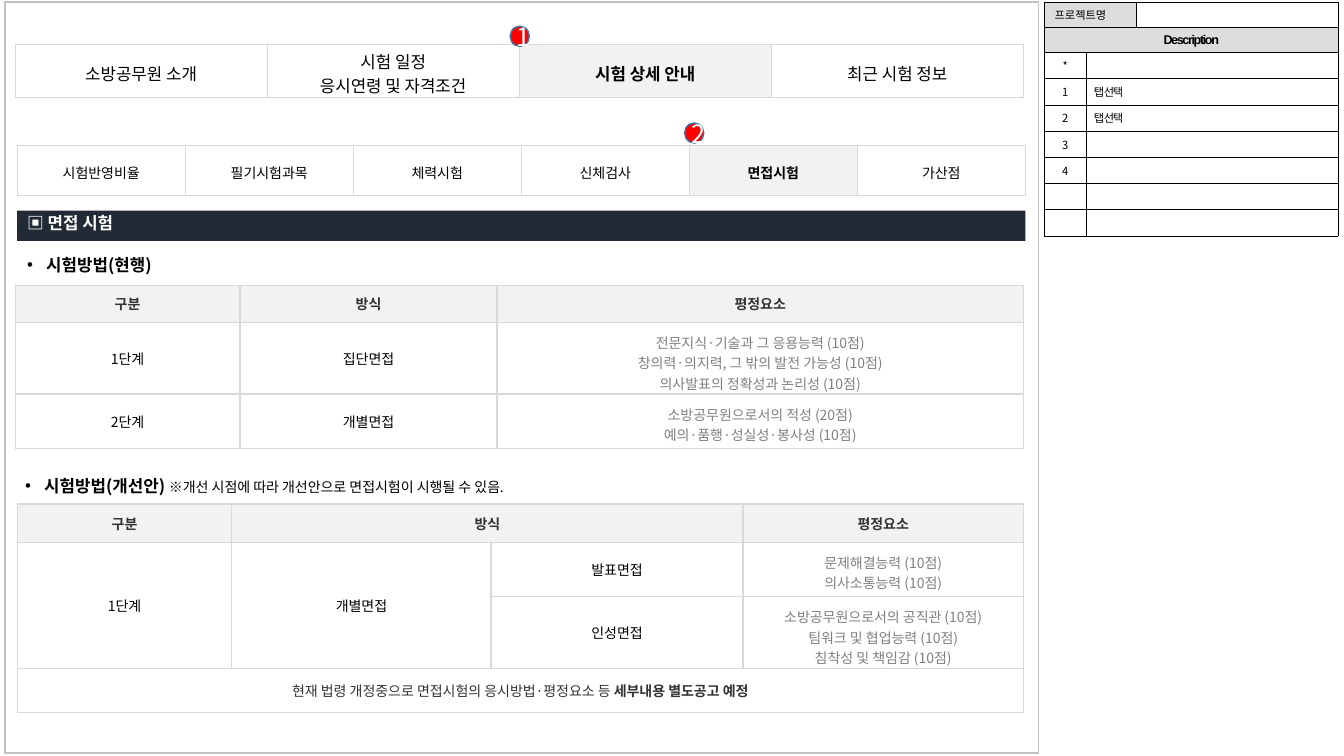
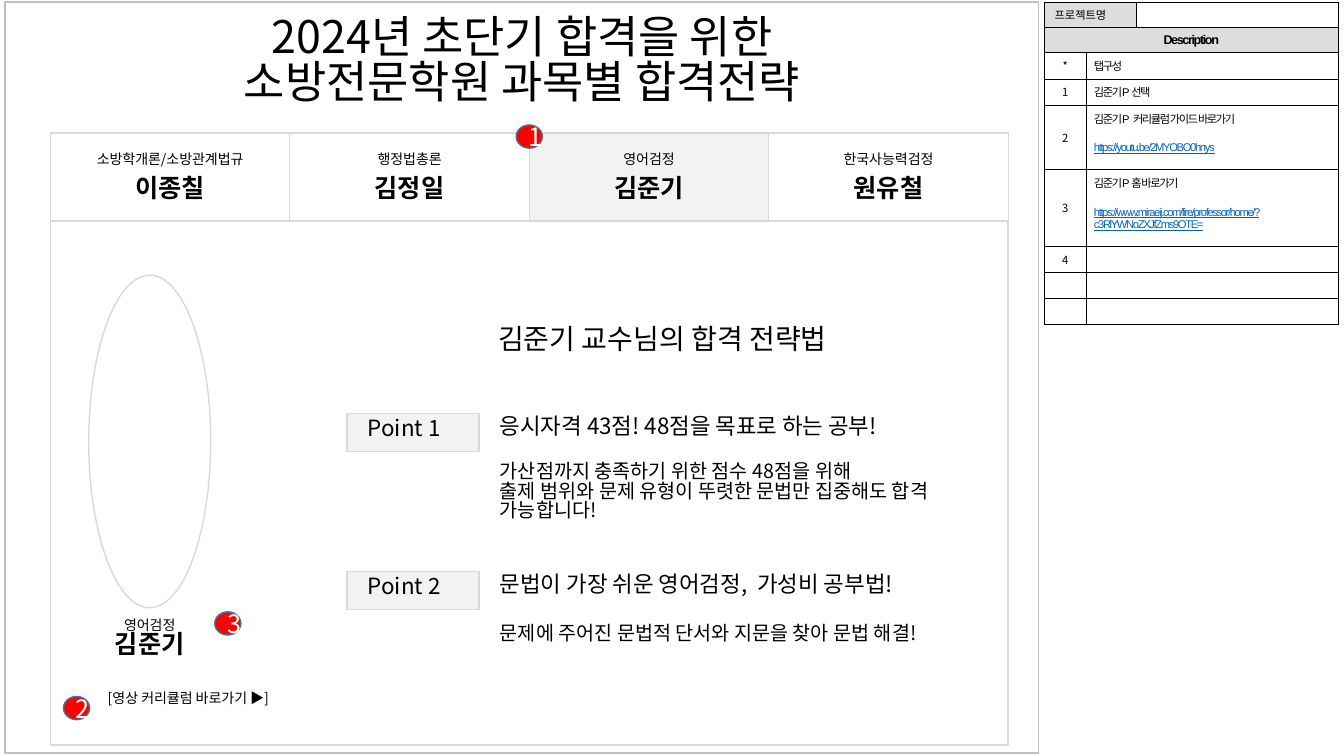
from dataclasses import dataclass, replace
from typing import Optional, Sequence

from lxml.etree import SubElement
from pptx import Presentation
from pptx.dml.color import RGBColor
from pptx.enum.shapes import MSO_SHAPE
from pptx.enum.text import MSO_ANCHOR, PP_ALIGN
from pptx.oxml.ns import qn
from pptx.util import Inches, Pt

# Shared style
BLACK = RGBColor(0x00, 0x00, 0x00)
WHITE = RGBColor(0xFF, 0xFF, 0xFF)
DARK = RGBColor(0x33, 0x33, 0x33)
GRAY = RGBColor(0x80, 0x80, 0x80)
RULE = RGBColor(0xD9, 0xD9, 0xD9)
FRAME = RGBColor(0xC0, 0xC0, 0xC0)
SHADE = RGBColor(0xF2, 0xF2, 0xF2)
SIDE_HEAD = RGBColor(0xDD, 0xDD, 0xDD)
NAVY = RGBColor(0x22, 0x2A, 0x35)
RED = RGBColor(0xFF, 0x00, 0x00)
MARK_LINE = RGBColor(0x43, 0x73, 0x9E)
LINK = RGBColor(0x05, 0x63, 0xC1)
NOTO = "Noto Sans CJK KR"
ARIAL = "Arial"
LEFT, CENTER = PP_ALIGN.LEFT, PP_ALIGN.CENTER
BOX_SPACING = 0.84


@dataclass(frozen=True)
class Run:
    text: str
    size: float = 10
    bold: bool = False
    color: RGBColor = BLACK
    font: str = NOTO
    underline: bool = False
    spacing: int = 0


@dataclass(frozen=True)
class Para:
    runs: tuple[Run, ...]
    align: PP_ALIGN = CENTER
    before: float = 0
    bullet: bool = False


@dataclass(frozen=True)
class Cell:
    paras: tuple[Para, ...] = ()
    fill: Optional[RGBColor] = None
    span: tuple[int, int] = (1, 1)
    insets: tuple[float, float, float, float] = (0.1, 0.05, 0.1, 0.05)
    anchor: MSO_ANCHOR = MSO_ANCHOR.MIDDLE


@dataclass(frozen=True)
class Note:
    mark: str = ""
    text: str = ""
    url: str = ""
    height: float = 0.26


@dataclass(frozen=True)
class Point:
    top: float
    label: str
    title: str
    body: tuple[str, ...]
    body_top: float


# Text
def line(text: str, align: PP_ALIGN = CENTER, **style) -> Para:
    return Para((Run(text, **style),), align)


def write(tf, paras: Sequence[Para], spacing: Optional[float] = None) -> None:
    for i, para in enumerate(paras):
        p = tf.paragraphs[0] if i == 0 else tf.add_paragraph()
        p.alignment = para.align
        if para.before:
            p.space_before = Pt(para.before)
        if spacing:
            p.line_spacing = spacing
        if para.bullet:
            pPr = p._p.get_or_add_pPr()
            pPr.set("marL", str(Inches(0.19)))
            pPr.set("indent", str(-Inches(0.19)))
            SubElement(pPr, qn("a:buFont")).set("typeface", ARIAL)
            SubElement(pPr, qn("a:buChar")).set("char", "•")
        for run in para.runs:
            r = p.add_run()
            r.text = run.text
            r.font.size = Pt(run.size)
            r.font.bold = run.bold
            r.font.underline = run.underline
            r.font.color.rgb = run.color
            r.font.name = run.font
            rPr = r._r.get_or_add_rPr()
            SubElement(rPr, qn("a:ea")).set("typeface", NOTO)
            if run.spacing:
                rPr.set("spc", str(run.spacing))


def add_text(s, x: float, y: float, w: float, h: float, *paras: Para) -> None:
    tf = s.shapes.add_textbox(Inches(x), Inches(y), Inches(w), Inches(h)).text_frame
    tf.word_wrap = True
    write(tf, paras, BOX_SPACING)


# Shapes
def add_box(s, x: float, y: float, w: float, h: float, kind=MSO_SHAPE.RECTANGLE,
            fill: Optional[RGBColor] = None, border: Optional[RGBColor] = RULE):
    sp = s.shapes.add_shape(kind, Inches(x), Inches(y), Inches(w), Inches(h))
    sp.shadow.inherit = False
    if fill is None:
        sp.fill.background()
    else:
        sp.fill.solid()
        sp.fill.fore_color.rgb = fill
    if border is None:
        sp.line.fill.background()
    else:
        sp.line.color.rgb = border
        sp.line.width = Pt(1)
    return sp


def add_marker(s, number: str, x: float, y: float, w: float, h: float) -> None:
    sp = add_box(s, x, y, w, h, MSO_SHAPE.OVAL, RED, MARK_LINE)
    write(sp.text_frame, [line(number, size=18, color=WHITE)])


# Tables
def add_borders(tcPr, color: RGBColor, width: float) -> None:
    for edge in ("a:lnL", "a:lnR", "a:lnT", "a:lnB"):
        ln = SubElement(tcPr, qn(edge))
        ln.set("w", str(Pt(width)))
        fill = SubElement(ln, qn("a:solidFill"))
        SubElement(fill, qn("a:srgbClr")).set("val", str(color))


def add_grid(s, x: float, y: float, widths: Sequence[float], heights: Sequence[float],
             rows: Sequence[Sequence[Optional[Cell]]],
             border: RGBColor = RULE, weight: float = 1) -> None:
    tbl = s.shapes.add_table(len(heights), len(widths), Inches(x), Inches(y),
                             Inches(sum(widths)), Inches(sum(heights))).table
    tbl.first_row = tbl.horz_banding = False
    for col, w in zip(tbl.columns, widths):
        col.width = Inches(w)
    for row, h in zip(tbl.rows, heights):
        row.height = Inches(h)
    for i, row in enumerate(rows):
        for j, item in enumerate(row):
            cell, spec_cell = tbl.cell(i, j), item or Cell()
            add_borders(cell._tc.get_or_add_tcPr(), border, weight)
            if spec_cell.fill is None:
                cell.fill.background()
            else:
                cell.fill.solid()
                cell.fill.fore_color.rgb = spec_cell.fill
            (cell.margin_left, cell.margin_top, cell.margin_right,
             cell.margin_bottom) = map(Inches, spec_cell.insets)
            cell.vertical_anchor = spec_cell.anchor
            if spec_cell.paras:
                write(cell.text_frame, spec_cell.paras)
            else:
                end = cell.text_frame.paragraphs[0]._p.get_or_add_endParaRPr()
                end.set("sz", "800")
            if spec_cell.span != (1, 1):
                down, across = spec_cell.span
                cell.merge(tbl.cell(i + down - 1, j + across - 1))


def head(text: str, span: tuple[int, int] = (1, 1)) -> Cell:
    return Cell((line(text, bold=True, color=DARK),), SHADE, span)


def label(text: str, span: tuple[int, int] = (1, 1)) -> Cell:
    return Cell((line(text),), span=span)


def scores(*texts: str) -> Cell:
    return Cell(tuple(line(t, color=GRAY) for t in texts),
                insets=(0.08, 0.1, 0.08, 0), anchor=MSO_ANCHOR.TOP)


def tab(*texts: str, size: float, on: bool = False) -> Cell:
    return Cell(tuple(line(t, size=size, bold=on, font=ARIAL) for t in texts),
                SHADE if on else None, insets=(0.1, 0.04, 0.1, 0))


# Frame and description panel of every slide
def note_row(note: Note) -> list[Optional[Cell]]:
    mark = (line(note.mark, size=8),) if note.mark else ()
    body = Run(note.text, 8, font=ARIAL, spacing=-100)
    paras = [Para((body,), LEFT)] if note.text else []
    if note.url:
        link = replace(body, text=note.url, color=LINK, underline=True)
        paras.append(Para((link,), LEFT, before=11))
    return [Cell(mark, WHITE, insets=(0.04, 0.04, 0.04, 0.04)),
            Cell(tuple(paras), WHITE, (1, 2), (0.08, 0.05, 0.08, 0.04), MSO_ANCHOR.TOP),
            None]


def new_slide(prs, notes: Sequence[Note]):
    s = prs.slides.add_slide(prs.slide_layouts[6])
    add_box(s, 0.05, 0.02, 10.25, 7.45, border=FRAME)
    title = line("Description", size=9, bold=True, font=ARIAL, spacing=-100)
    rows = [[Cell((line("프로젝트명", LEFT, size=8),), SIDE_HEAD, (1, 2),
                  (0.1, 0.04, 0.1, 0.04)), None, Cell(fill=WHITE)],
            [Cell((title,), SIDE_HEAD, (1, 3)), None, None],
            *map(note_row, notes)]
    heights = [0.25, 0.25] + [n.height for n in notes]
    add_grid(s, 10.36, 0.02, [0.41, 0.5, 2], heights, rows, BLACK, 0.25)
    return s


def interview_slide(prs) -> None:
    s = new_slide(prs, [Note("*"), Note("1", "탭 선택"), Note("2", "탭 선택"),
                        Note("3"), Note("4"), Note(), Note()])
    # Tabs
    add_grid(s, 0.15, 0.44, [2.5] * 4, [0.53], [[
        tab("소방공무원 소개", size=12),
        tab("시험 일정", "응시연령 및 자격조건", size=12),
        tab("시험 상세 안내", size=12, on=True),
        tab("최근 시험 정보", size=12)]])
    subjects = ["시험반영비율", "필기시험과목", "체력시험", "신체검사", "면접시험", "가산점"]
    add_grid(s, 0.17, 1.44, [10 / 6] * 6, [0.5],
             [[tab(t, size=10, on=t == "면접시험") for t in subjects]])
    # Section bar
    bar = add_box(s, 0.17, 2.09, 10, 0.3, fill=NAVY, border=None)
    bar.text_frame.vertical_anchor = MSO_ANCHOR.TOP
    write(bar.text_frame, [line("▣ 면접 시험", LEFT, size=12, bold=True, color=WHITE)],
          BOX_SPACING)
    # Current method
    add_text(s, 0.17, 2.51, 1.98, 0.3,
             Para((Run("시험방법(현행)", 12, True),), LEFT, bullet=True))
    add_grid(s, 0.15, 2.83, [2.23, 2.55, 5.22], [0.37, 0.71, 0.54], [
        [head("구분"), head("방식"), head("평정요소")],
        [label("1단계"), label("집단면접"),
         scores("전문지식·기술과 그 응용능력 (10점)",
                "창의력·의지력, 그 밖의 발전 가능성 (10점)",
                "의사발표의 정확성과 논리성 (10점)")],
        [label("2단계"), label("개별면접"),
         scores("소방공무원으로서의 적성 (20점)", "예의·품행·성실성·봉사성 (10점)")]])
    # Revised method
    add_text(s, 0.15, 4.7, 6.51, 0.3, Para((
        Run("시험방법(개선안) ", 12, True),
        Run("※개선 시점에 따라 개선안으로 면접시험이 시행될 수 있음.")), LEFT, bullet=True))
    notice = Para((Run("현재 법령 개정중으로 면접시험의 응시방법·평정요소 등 ", color=DARK),
                   Run("세부내용 별도공고 예정", bold=True, color=DARK)))
    add_grid(s, 0.17, 5, [2.13, 2.57, 2.5, 2.78], [0.38, 0.54, 0.71, 0.44], [
        [head("구분"), head("방식", (1, 2)), None, head("평정요소")],
        [label("1단계", (2, 1)), label("개별면접", (2, 1)), label("발표면접"),
         scores("문제해결능력 (10점)", "의사소통능력 (10점)")],
        [None, None, label("인성면접"),
         scores("소방공무원으로서의 공직관 (10점)", "팀워크 및 협업능력 (10점)",
                "침착성 및 책임감 (10점)")],
        [Cell((notice,), span=(1, 4)), None, None, None]])
    # Markers
    add_marker(s, "2", 6.79, 1.22, 0.19, 0.2)
    add_marker(s, "1", 5.06, 0.26, 0.19, 0.2)


def strategy_slide(prs) -> None:
    s = new_slide(prs, [
        Note("*", "탭구성"), Note("1", "김준기P 선택"),
        Note("2", "김준기P  커리큘럼 가이드 바로가기", "https://youtu.be/2MYOBO0hnys", 0.64),
        Note("3", "김준기P 홈 바로가기",
             "https://www.miraeij.com/fire/professor/home/?c3RlYWNoZXJfZms9OTE=", 0.76),
        Note("4"), Note(), Note()])
    # Professor tabs
    professors = [("소방학개론/소방관계법규", "이종칠"), ("행정법총론", "김정일"),
                  ("영어검정", "김준기"), ("한국사능력검정", "원유철")]
    add_grid(s, 0.5, 1.32, [9.5 / 4] * 4, [0.87], [[
        Cell((line(subject), line(name, size=18, bold=True)),
             SHADE if name == "김준기" else WHITE) for subject, name in professors]])
    # Professor panel
    add_box(s, 0.5, 2.2, 9.5, 5.19)
    add_box(s, 0.88, 2.73, 1.21, 3.3, MSO_SHAPE.OVAL)
    add_text(s, 0.56, 6.09, 1.85, 0.57, line("영어검정"), line("김준기", size=18, bold=True))
    add_text(s, 0.97, 6.82, 2.11, 0.27, line("[영상 커리큘럼 바로가기 ▶]", LEFT))
    # Strategy points
    add_text(s, 3.39, 3.19, 6.36, 0.44, line("김준기 교수님의 합격 전략법", size=20))
    for pt in (
        Point(4.1, "Point 1", "응시자격 43점! 48점을 목표로 하는 공부!",
              ("가산점까지 충족하기 위한 점수 48점을 위해",
               "출제 범위와 문제 유형이 뚜렷한 문법만 집중해도 합격 가능합니다!"), 4.54),
        Point(5.67, "Point 2", "문법이 가장 쉬운 영어검정,  가성비 공부법!",
              ("문제에 주어진 문법적 단서와 지문을 찾아 문법 해결!",), 6.15),
    ):
        add_box(s, 3.44, pt.top, 1.31, 0.38, fill=SHADE)
        add_text(s, 3.55, pt.top, 1.31, 0.37, line(pt.label, LEFT, size=16))
        add_text(s, 4.86, pt.top - 0.02, 4.89, 0.37, line(pt.title, LEFT, size=16))
        add_text(s, 4.86, pt.body_top, 4.89, 0.34 * len(pt.body),
                 *(line(t, LEFT, size=14) for t in pt.body))
    # Title and markers
    add_text(s, 1.39, 0.12, 7.58, 1.18, line("2024년 초단기 합격을 위한", size=32),
             line("소방전문학원 과목별 합격전략", size=32))
    for number, x, y in (("1", 5.12, 1.24), ("2", 0.63, 6.91), ("3", 2.13, 6.07)):
        add_marker(s, number, x, y, 0.26, 0.23)


def main() -> None:
    prs = Presentation()
    prs.slide_width, prs.slide_height = Inches(13.33), Inches(7.5)
    interview_slide(prs)
    strategy_slide(prs)
    prs.save("out.pptx")


if __name__ == "__main__":
    main()
